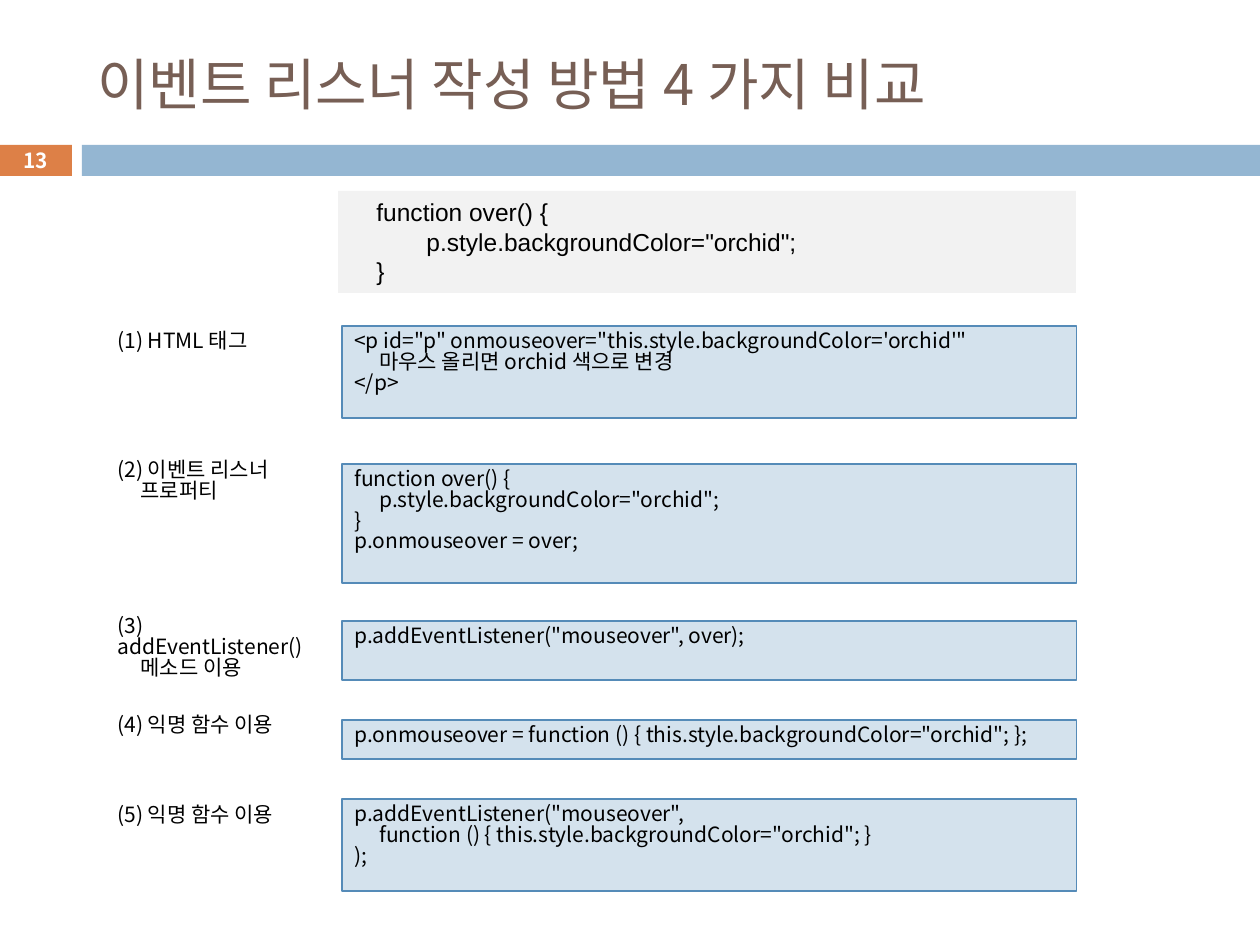
from dataclasses import dataclass

from pptx import Presentation
from pptx.dml.color import RGBColor
from pptx.enum.shapes import MSO_SHAPE
from pptx.enum.text import MSO_ANCHOR, PP_ALIGN
from pptx.oxml.ns import qn
from pptx.shapes.base import BaseShape
from pptx.slide import Slide
from pptx.util import Emu, Pt

RECTANGLE = MSO_SHAPE.RECTANGLE
TOP, MIDDLE = MSO_ANCHOR.TOP, MSO_ANCHOR.MIDDLE
LEFT, CENTER = PP_ALIGN.LEFT, PP_ALIGN.CENTER
PX = 914400 // 126  # EMU per px


@dataclass(frozen=True)
class Theme:
    korean: str = "Noto Sans CJK KR"
    latin: str = "Arial"
    title: str = "775F55"
    accent: str = "DD8047"
    band: str = "94B6D2"
    code_fill: str = "D4E2ED"
    code_line: str = "558BB8"
    sample_fill: str = "F2F2F2"
    text: str = "000000"
    white: str = "FFFFFF"
    title_size: float = 32
    number_size: float = 11.9
    body_size: float = 12
    sample_size: float = 14


@dataclass(frozen=True)
class Box:
    left: int
    top: int
    width: int
    height: int


@dataclass(frozen=True)
class Line:
    text: str
    indent: int = 0


@dataclass(frozen=True)
class Style:
    size: float
    color: str = Theme.text
    font: str = Theme.korean
    bold: bool = False
    align: PP_ALIGN = LEFT
    anchor: MSO_ANCHOR = TOP
    spacing: float | None = None


@dataclass(frozen=True)
class Method:
    label_box: Box
    label: tuple[Line, ...]
    code_top: int
    code_height: int
    code: tuple[Line, ...]


THEME = Theme()
BODY = Style(THEME.body_size, spacing=0.82)
LABEL_LEFT, CODE_LEFT, CODE_WIDTH = 105, 342, 735
CODE_TAB, LABEL_TAB = 25, 23

METHODS = (
    Method(Box(LABEL_LEFT, 326, 164, 38), (Line("(1) HTML 태그"),), 326, 92, (
        Line("<p id=\"p\" onmouseover=\"this.style.backgroundColor='orchid'\""),
        Line("마우스 올리면 orchid 색으로 변경", CODE_TAB),
        Line("</p>"))),
    Method(Box(LABEL_LEFT, 455, 193, 63),
           (Line("(2) 이벤트 리스너"), Line("프로퍼티", LABEL_TAB)), 464, 119, (
        Line("function over() {"),
        Line('p.style.backgroundColor="orchid";', CODE_TAB),
        Line("}"),
        Line("p.onmouseover = over;"))),
    Method(Box(LABEL_LEFT, 611, 233, 63),
           (Line("(3) addEventListener()"), Line("메소드 이용", LABEL_TAB)), 621, 59, (
        Line('p.addEventListener("mouseover", over);'),)),
    Method(Box(LABEL_LEFT, 710, 200, 38), (Line("(4) 익명 함수 이용"),), 720, 39, (
        Line('p.onmouseover = function () { this.style.backgroundColor="orchid"; };'),)),
    Method(Box(LABEL_LEFT, 800, 200, 38), (Line("(5) 익명 함수 이용"),), 799, 92, (
        Line('p.addEventListener("mouseover",'),
        Line('function () { this.style.backgroundColor="orchid"; }', CODE_TAB),
        Line(");"))),
)
SAMPLE = (Line("function over() {", 26),
          Line('p.style.backgroundColor="orchid";', 76),
          Line("}", 26))


def bounds(box: Box) -> tuple[Emu, ...]:
    return tuple(Emu(px * PX) for px in (box.left, box.top, box.width, box.height))


def write(shape: BaseShape, lines: tuple[Line, ...], style: Style) -> None:
    frame = shape.text_frame
    frame.word_wrap = True
    frame.vertical_anchor = style.anchor
    font_values = {"name": style.font, "size": Pt(style.size), "bold": style.bold}
    for index, line in enumerate(lines):
        paragraph = frame.add_paragraph() if index else frame.paragraphs[0]
        paragraph.alignment = style.align
        if style.spacing:
            paragraph.line_spacing = style.spacing
        if line.indent:
            paragraph._p.get_or_add_pPr().set("marL", str(line.indent * PX))
        run = paragraph.add_run()
        run.text = line.text
        for name, value in font_values.items():
            setattr(run.font, name, value)
        run.font.color.rgb = RGBColor.from_string(style.color)
        # Korean glyphs take the East Asian typeface
        east_asian = run._r.get_or_add_rPr().makeelement(qn("a:ea"), {"typeface": style.font})
        run._r.rPr.append(east_asian)


def add_rectangle(slide: Slide, box: Box, fill: str, line: str | None = None) -> BaseShape:
    shape = slide.shapes.add_shape(RECTANGLE, *bounds(box))
    shape.shadow.inherit = False
    shape.fill.solid()
    shape.fill.fore_color.rgb = RGBColor.from_string(fill)
    if line:
        shape.line.color.rgb = RGBColor.from_string(line)
        shape.line.width = Pt(0.75)
    else:
        shape.line.fill.background()
    return shape


def add_text(slide: Slide, box: Box, lines: tuple[Line, ...], style: Style) -> None:
    write(slide.shapes.add_textbox(*bounds(box)), lines, style)


def add_method(slide: Slide, method: Method) -> None:
    box = Box(CODE_LEFT, method.code_top, CODE_WIDTH, method.code_height)
    write(add_rectangle(slide, box, THEME.code_fill, THEME.code_line), method.code, BODY)
    add_text(slide, method.label_box, method.label, BODY)


def main() -> None:
    presentation = Presentation()
    presentation.slide_width, presentation.slide_height = Emu(1260 * PX), Emu(945 * PX)
    slide = presentation.slides.add_slide(presentation.slide_layouts[6])

    # Header band, title and page number
    add_rectangle(slide, Box(-1, 145, 73, 31), THEME.accent)
    add_rectangle(slide, Box(82, 145, 1178, 31), THEME.band)
    add_text(slide, Box(85, 32, 1124, 103), (Line("이벤트 리스너 작성 방법 4 가지 비교"),),
             Style(THEME.title_size, THEME.title, anchor=MIDDLE))
    add_text(slide, Box(-1, 143, 73, 34), (Line("13"),),
             Style(THEME.number_size, THEME.white, bold=True, align=CENTER, anchor=MIDDLE))

    # Methods with their code
    for method in METHODS:
        add_method(slide, method)

    # Shared handler function
    sample = add_rectangle(slide, Box(338, 191, 738, 102), THEME.sample_fill)
    write(sample, SAMPLE, Style(THEME.sample_size, font=THEME.latin))

    presentation.save("out.pptx")


if __name__ == "__main__":
    main()
